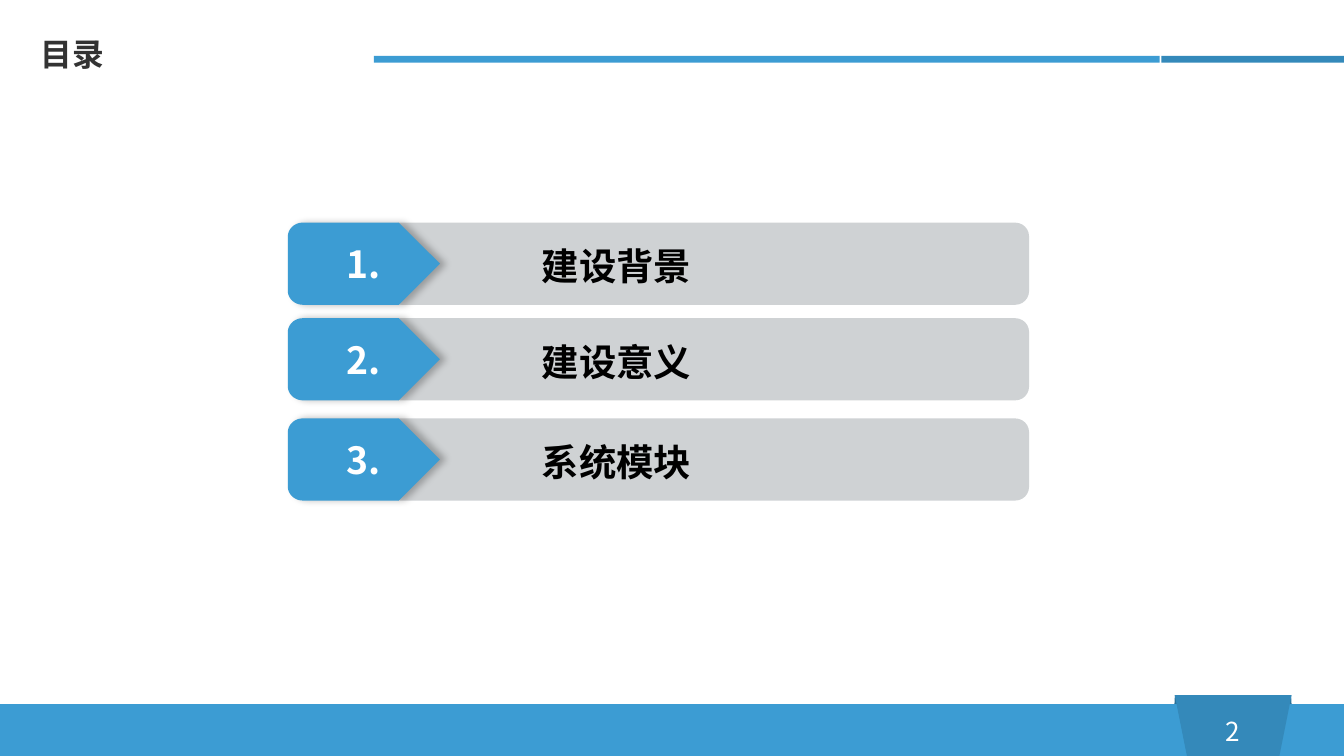
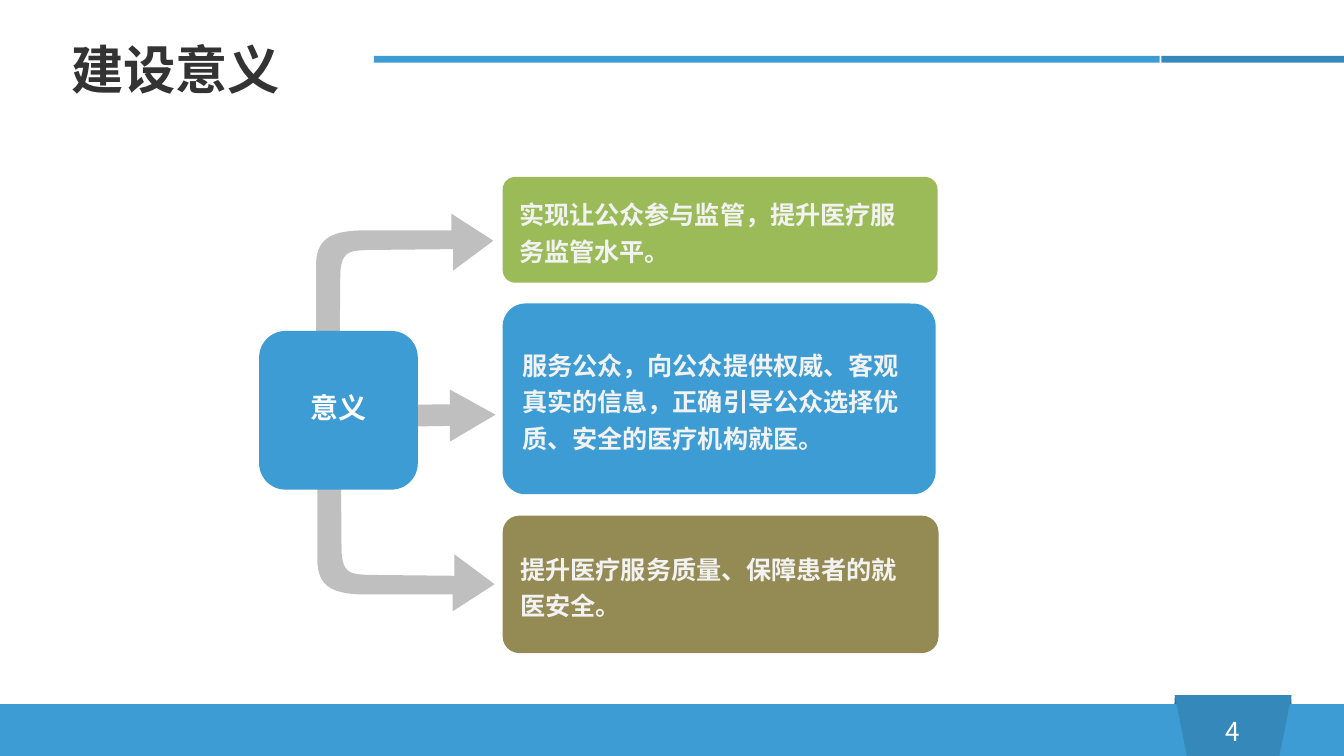
from lxml import etree
from pptx import Presentation
from pptx.dml.color import RGBColor
from pptx.enum.shapes import MSO_SHAPE
from pptx.enum.text import MSO_ANCHOR, MSO_AUTO_SIZE, PP_ALIGN
from pptx.oxml import parse_xml
from pptx.oxml.ns import nsdecls, qn
from pptx.util import Pt

RECTANGLE = MSO_SHAPE.RECTANGLE
ROUNDED = MSO_SHAPE.ROUNDED_RECTANGLE
TRAPEZOID = MSO_SHAPE.TRAPEZOID
LEFT, CENTER = PP_ALIGN.LEFT, PP_ALIGN.CENTER
TOP, MIDDLE = MSO_ANCHOR.TOP, MSO_ANCHOR.MIDDLE
GROW = MSO_AUTO_SIZE.SHAPE_TO_FIT_TEXT

BLUE = RGBColor(0x3C, 0x9C, 0xD3)
DEEP_BLUE = RGBColor(0x34, 0x89, 0xBA)
DARK_BLUE = RGBColor(0x2A, 0x6F, 0x96)
GREEN = RGBColor(0x9B, 0xBB, 0x59)
OLIVE = RGBColor(0x94, 0x8A, 0x54)
BAR_GRAY = RGBColor(0xCF, 0xD2, 0xD4)
ARROW_GRAY = RGBColor(0xBF, 0xBF, 0xBF)
TITLE_GRAY = RGBColor(0x33, 0x33, 0x33)
OFF_WHITE = RGBColor(0xF2, 0xF2, 0xF2)
WHITE = RGBColor(0xFF, 0xFF, 0xFF)
BLACK = RGBColor(0, 0, 0)
FONT = "Noto Sans CJK SC"
CURVE_STEPS = 12


def draw(shapes, form, left, top, width, height, color):
    if isinstance(form, list):
        points = [form[0]]
        for segment in form[1:]:
            if len(segment) == 2:
                points.append(segment)
                continue
            x0, y0 = points[-1]
            x1, y1, x2, y2, x3, y3 = segment
            for step in range(1, CURVE_STEPS + 1):
                t = step / CURVE_STEPS
                u = 1 - t
                a, b, c, d = u**3, 3 * u * u * t, 3 * u * t * t, t**3
                points.append((a * x0 + b * x1 + c * x2 + d * x3,
                               a * y0 + b * y1 + c * y2 + d * y3))
        corners = [(Pt(left + x), Pt(top + y)) for x, y in points]
        builder = shapes.build_freeform(*corners[0])
        builder.add_line_segments(corners[1:], close=True)
        box = builder.convert_to_shape()
    else:
        box = shapes.add_shape(form, Pt(left), Pt(top), Pt(width), Pt(height))
    box.shadow.inherit = False
    box.fill.solid()
    box.fill.fore_color.rgb = color
    box.line.fill.background()
    return box


def write(box, text, size, color, bold=True, align=LEFT, anchor=TOP, spacing=1.0):
    frame = box.text_frame
    frame.word_wrap = True
    frame.vertical_anchor = anchor
    frame.text = text
    para = frame.paragraphs[0]
    para.alignment = align
    para.line_spacing = spacing
    span = para.runs[0]
    span.font.name = FONT
    span.font.size = Pt(size)
    span.font.bold = bold
    span.font.color.rgb = color
    latin = span.font._element.find(qn("a:latin"))
    east_asian = etree.Element(qn("a:ea"), typeface=FONT)
    latin.addnext(east_asian)
    return frame


deck = Presentation()
deck.slide_width, deck.slide_height = Pt(720), Pt(405)

pages = []
for title, title_size, title_left, title_top, title_width, number in [
    ("目录", 17, 14.5, 15, 186.5, "2"),
    ("建设意义", 28, 31, 16.5, 335, "4"),
]:
    page = deck.slides.add_slide(deck.slide_layouts[6])
    pages.append(page)
    draw(page.shapes, RECTANGLE, 200.3, 30, 421, 3.6, BLUE)
    draw(page.shapes, RECTANGLE, 622.2, 30, 97.8, 3.6, DEEP_BLUE)
    draw(page.shapes, TRAPEZOID, 627.8, 372.4, 65.5, 32.4, DARK_BLUE).adjustments[0] = 0.05
    draw(page.shapes, RECTANGLE, -1.4, 377.3, 724.3, 28.8, BLUE)
    tab = draw(page.shapes, TRAPEZOID, 629.3, 372.4, 62.6, 34.6, DEEP_BLUE)
    tab.adjustments[0] = 0.2
    tab.rotation = 180
    number_box = page.shapes.add_textbox(Pt(641.5), Pt(379.5), Pt(38), Pt(24.5))
    write(number_box, number, 14, WHITE, bold=False, align=CENTER).auto_size = GROW
    title_box = page.shapes.add_textbox(Pt(title_left), Pt(title_top), Pt(title_width), Pt(34))
    write(title_box, title, title_size, TITLE_GRAY)

contents, meaning = pages

TAG = [(8, 0), (59.5, 0), (81.5, 22), (59.5, 44), (8, 44),
       (3.5, 44, 0, 40.5, 0, 36.5), (0, 7.5), (0, 3.5, 3.5, 0, 8, 0)]
TAG_SHADOW = (
    f'<a:effectLst {nsdecls("a")}><a:outerShdw blurRad="50800" dist="38100" dir="0">'
    '<a:srgbClr val="000000"><a:alpha val="25000"/></a:srgbClr>'
    '</a:outerShdw></a:effectLst>'
)
for index, (top, topic) in enumerate(
    [(119.3, "建设背景"), (170.5, "建设意义"), (224.2, "系统模块")], start=1
):
    row = contents.shapes.add_group_shape()
    draw(row.shapes, ROUNDED, 207.3, top, 344, 44, BAR_GRAY)
    label = draw(row.shapes, RECTANGLE, 283.2, top + 7.5, 94.5, 31.5, BAR_GRAY)
    label_frame = write(label, topic, 20, BLACK)
    label_frame.word_wrap = False
    label_frame.auto_size = GROW
    tag = draw(contents.shapes, TAG, 154.2, top, 81.5, 44, BLUE)
    write(tag, f"{index}.", 20, WHITE, align=CENTER, anchor=MIDDLE)
    properties = tag._element.spPr
    properties.replace(properties.find(qn("a:effectLst")), parse_xml(TAG_SHADOW))

DOWN_ARROW = [(12.5, 13), (13, 79), (13.5, 91, 18.5, 91, 26.5, 91.5), (73.5, 92),
              (73.5, 80.5), (95, 96.5), (72.5, 111), (72.5, 102),
              (72.5, 102, 41, 102, 23.5, 102), (6.5, 101.5, 0, 96.5, 0, 83),
              (0, 11.5), (2, 0, 9.5, 1.5, 12.5, 13)]
UP_ARROW = [tuple(-value if place % 2 else value for place, value in enumerate(segment))
            for segment in DOWN_ARROW]
RIGHT_ARROW = [(0, 21), (88.5, 19.5), (88.5, 28), (113, 13.5), (88.5, 0), (88.5, 8), (0, 8.5)]
for arrow, left, top in [
    (DOWN_ARROW, 170, 216.5), (RIGHT_ARROW, 152.5, 208.7), (UP_ARROW, 169.3, 225.5),
]:
    draw(meaning.shapes, arrow, left, top, 0, 0, ARROW_GRAY)

for top, width, height, color, text in [
    (94.8, 233, 56.7, GREEN, "实现让公众参与监管，提升医疗服务监管水平。"),
    (162.6, 232, 102.2, BLUE,
     "服务公众，向公众提供权威、客观真实的信息，正确引导公众选择优质、安全的医疗机构就医。"),
    (276.3, 233.5, 73.6, OLIVE, "提升医疗服务质量、保障患者的就医安全。"),
]:
    card = draw(meaning.shapes, ROUNDED, 269.3, top, width, height, color)
    card.adjustments[0] = 0.12
    write(card, text, 13.5, OFF_WHITE, anchor=MIDDLE, spacing=1.2)

hub = draw(meaning.shapes, ROUNDED, 138.8, 177.3, 85, 85, BLUE)
hub_frame = write(hub, "意义", 15, WHITE, align=CENTER, anchor=MIDDLE, spacing=1.2)
hub_frame.margin_bottom = Pt(10.8)

deck.save("out.pptx")
